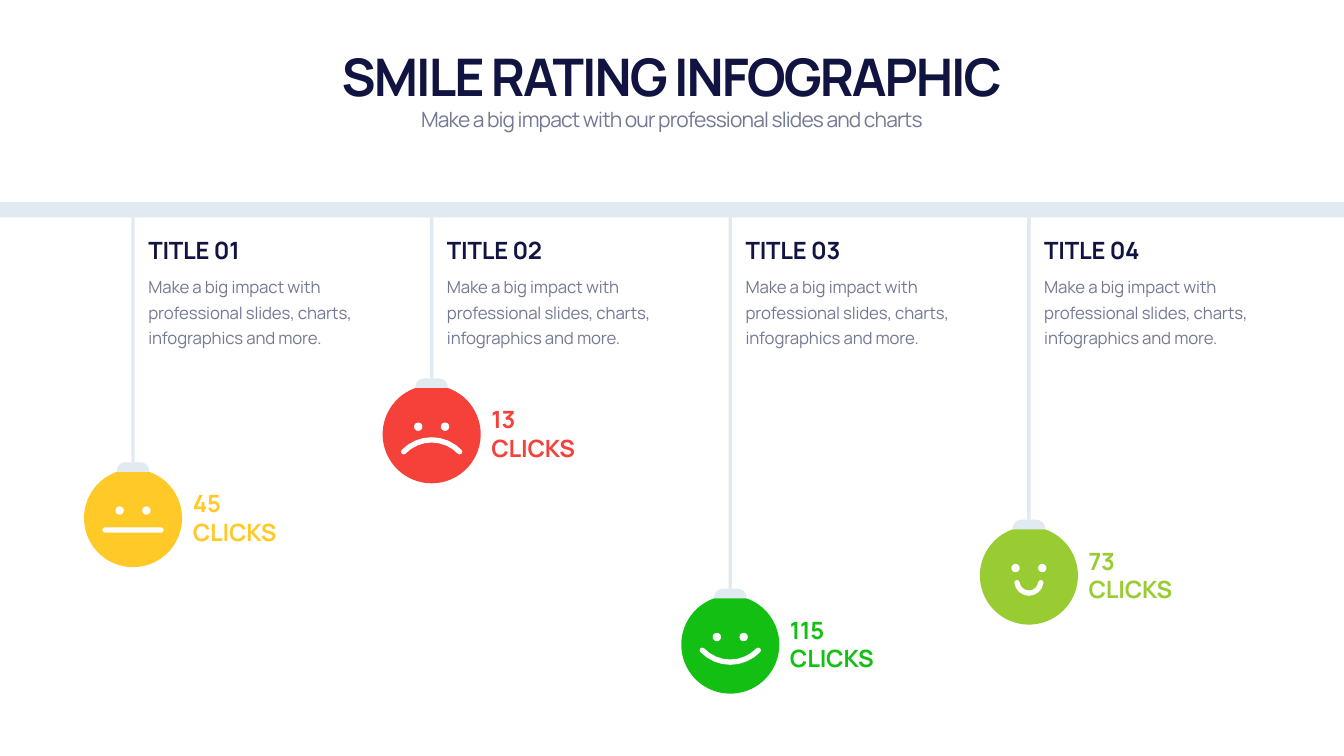
"""Build the smile rating slide with four faces hanging from a bar."""
from math import atan, cos, pi, sin

from pptx import Presentation
from pptx.dml.color import RGBColor
from pptx.enum.shapes import MSO_SHAPE
from pptx.enum.text import MSO_ANCHOR, MSO_AUTO_SIZE, PP_ALIGN
from pptx.util import Pt

NAVY = RGBColor(0x11, 0x13, 0x40)
GREY = RGBColor(0x74, 0x79, 0x93)
PALE = RGBColor(0xE0, 0xEA, 0xF0)
WHITE = RGBColor(0xFF, 0xFF, 0xFF)
YELLOW = RGBColor(0xFF, 0xC9, 0x27)
RED = RGBColor(0xF5, 0x41, 0x3A)
GREEN = RGBColor(0x13, 0xBF, 0x13)
LIME = RGBColor(0x99, 0xCC, 0x33)

HEADING = "SMILE RATING INFOGRAPHIC"
SUBHEADING = "Make a big impact with our professional slides and charts"
BODY = "Make a big impact with professional slides, charts, infographics and more."

RATINGS = [
    {"title": "TITLE 01", "clicks": "45 CLICKS", "color": YELLOW, "center_y": 740.2,
     "mouth": {"half": 40, "end_y": 17, "sag": 0}},
    {"title": "TITLE 02", "clicks": "13 CLICKS", "color": RED, "center_y": 620.4,
     "mouth": {"half": 40, "end_y": 25, "sag": -17}},
    {"title": "TITLE 03", "clicks": "115 CLICKS", "color": GREEN, "center_y": 920.9,
     "mouth": {"half": 40, "end_y": 8, "sag": 17}},
    {"title": "TITLE 04", "clicks": "73 CLICKS", "color": LIME, "center_y": 822.3,
     "mouth": {"half": 17, "end_y": 10, "sag": 15}},
]

FONT = "Manrope"
SLIDE_W, SLIDE_H = 1919.52, 1080
FIRST_X, PITCH = 190, 426.5
BAR_TOP, BAR_H = 288.6, 21.8
STRING_W = 5
FACE_R = 70
EYE_X, EYE_Y, EYE_R = 19.1, -10.8, 6
LIP_R = 3.8
CAP_HALF, CAP_TOP, CAP_BOTTOM, CAP_R = 23.1, -79.8, -66.2, 12.2


def arc(cx, cy, radius, start, end, steps):
    """Return points along an arc, with angles measured from straight down."""
    angles = [start + (end - start) * i / steps for i in range(steps + 1)]
    return [(cx + radius * sin(a), cy + radius * cos(a)) for a in angles]


def mouth_outline(half, end_y, sag):
    """Return the outline of a curved band with round ends."""
    turn = 2 * atan(sag / half)
    upper, lower = [], []
    if sag:
        radius = (half ** 2 + sag ** 2) / (2 * sag)
        middle_y = end_y + sag - radius
        lower = arc(0, middle_y, radius + LIP_R, -turn, turn, 8)[:-1]
        upper = arc(0, middle_y, radius - LIP_R, turn, -turn, 8)[1:-1]
    right_end = arc(half, end_y, LIP_R, turn, turn + pi, 4)
    left_end = arc(-half, end_y, LIP_R, pi - turn, 2 * pi - turn, 4)
    return lower + right_end + upper + left_end


def paint(shape, color):
    """Give a shape a flat fill without line or shadow."""
    shape.shadow.inherit = False
    shape.fill.solid()
    shape.fill.fore_color.rgb = color
    shape.line.fill.background()


def add_preset(shapes, preset, left, top, width, height, color):
    """Add a flat preset shape."""
    paint(shapes.add_shape(preset, Pt(left), Pt(top), Pt(width), Pt(height)), color)


def add_outline(shapes, x, y, contours, color):
    """Add one filled freeform from contours placed around x, y."""
    placed = [[(Pt(x + dx), Pt(y + dy)) for dx, dy in contour] for contour in contours]
    builder = shapes.build_freeform(*placed[0][0], scale=1.0)
    builder.add_line_segments(placed[0][1:], close=True)
    for contour in placed[1:]:
        builder.move_to(*contour[0])
        builder.add_line_segments(contour[1:], close=True)
    paint(builder.convert_to_shape(), color)


def write(box, area, text, size, color, spacing, bold=False,
          anchor=MSO_ANCHOR.TOP, align=PP_ALIGN.LEFT, line_height=None):
    """Place a text shape and write one formatted run in it."""
    box.left, box.top, box.width, box.height = [Pt(length) for length in area]
    frame = box.text_frame
    frame.word_wrap = True
    frame.auto_size = MSO_AUTO_SIZE.SHAPE_TO_FIT_TEXT
    frame.vertical_anchor = anchor
    paragraph = frame.paragraphs[0]
    paragraph.alignment = align
    if line_height:
        paragraph.line_spacing = Pt(line_height)
    run = paragraph.add_run()
    run.text = text
    run.font.name = FONT
    run.font.size = Pt(size)
    run.font.bold = bold
    run.font.color.rgb = color
    run._r.get_or_add_rPr().set("spc", str(round(spacing * 100)))


def add_text(shapes, *args, **kwargs):
    """Add a text box and write in it."""
    write(shapes.add_textbox(0, 0, 0, 0), *args, **kwargs)


def add_rating(shapes, x, rating):
    """Add one hanging face with its title, description and clicks."""
    y = rating["center_y"]
    bar_bottom = BAR_TOP + BAR_H
    add_preset(shapes, MSO_SHAPE.OVAL, x - FACE_R, y - FACE_R,
               2 * FACE_R, 2 * FACE_R, rating["color"])
    eyes = [arc(side * EYE_X, EYE_Y, EYE_R, 0, 2 * pi, 12)[:-1] for side in (-1, 1)]
    add_outline(shapes, x, y, [mouth_outline(**rating["mouth"])] + eyes, WHITE)
    add_preset(shapes, MSO_SHAPE.RECTANGLE, x - STRING_W / 2, bar_bottom,
               STRING_W, y + CAP_TOP - bar_bottom, PALE)
    corner_x, corner_y = CAP_HALF - CAP_R, CAP_TOP + CAP_R
    cap = [(-CAP_HALF, CAP_BOTTOM),
           *arc(-corner_x, corner_y, CAP_R, -pi / 2, -pi, 4),
           *arc(corner_x, corner_y, CAP_R, pi, pi / 2, 4),
           (CAP_HALF, CAP_BOTTOM)]
    add_outline(shapes, x, y, [cap], PALE)
    add_text(shapes, (x + 14.8, 333.4, 322.6, 48.2), rating["title"], 34, NAVY, -0.3,
             bold=True, anchor=MSO_ANCHOR.BOTTOM)
    add_text(shapes, (x + 14.8, 385.2, 322.6, 114.5), BODY, 24, GREY, -0.2,
             line_height=36)
    add_text(shapes, (x + 78.2, y - 46, 159.8, 90), rating["clicks"], 34,
             rating["color"], -0.3, bold=True, anchor=MSO_ANCHOR.MIDDLE)


def main():
    """Build and save the slide."""
    deck = Presentation()
    deck.slide_width, deck.slide_height = Pt(SLIDE_W), Pt(SLIDE_H)
    slide = deck.slides.add_slide(deck.slide_layouts[5])
    shapes = slide.shapes
    write(shapes.title, (119.5, 59, 1679.8, 97.2), HEADING, 74, NAVY, -2.9,
          bold=True, anchor=MSO_ANCHOR.BOTTOM, align=PP_ALIGN.CENTER)
    add_text(shapes, (119.5, 149, 1679.8, 43.9), SUBHEADING, 30, GREY, -1.2,
             align=PP_ALIGN.CENTER)
    add_preset(shapes, MSO_SHAPE.RECTANGLE, 0, BAR_TOP, SLIDE_W, BAR_H, PALE)
    for column, rating in enumerate(RATINGS):
        add_rating(shapes, FIRST_X + column * PITCH, rating)
    deck.save("out.pptx")


if __name__ == "__main__":
    main()
